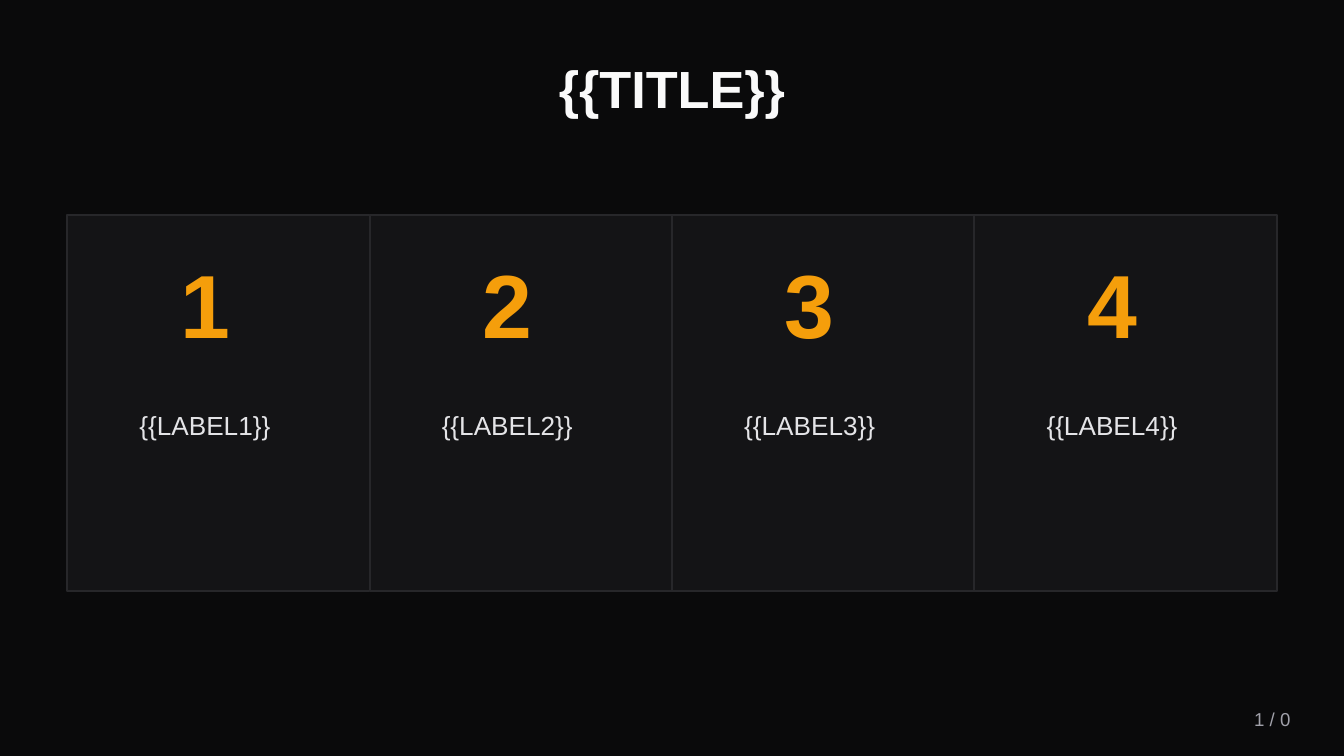
from pptx import Presentation
from pptx import util as u
from pptx.dml.color import RGBColor
from pptx.enum import shapes, text

PX = u.Inches(10) // 1600
FONT = "Arial"
BACKGROUND = RGBColor(0x0A, 0x0A, 0x0B)
CARD = RGBColor(0x14, 0x14, 0x16)
BORDER = RGBColor(0x27, 0x27, 0x2A)
WHITE = RGBColor(0xFA, 0xFA, 0xFA)
AMBER = RGBColor(0xF5, 0x9E, 0x0B)
LIGHT = RGBColor(0xE4, 0xE4, 0xE7)
GREY = RGBColor(0xA1, 0xA1, 0xAA)

MARGIN = 80
CARD_TOP, CARD_WIDTH, CARD_HEIGHT = 256, 360, 448
CARD_TEXT_WIDTH = 328
CARD_COUNT = 4


def px(*lengths):
    return [length * PX for length in lengths]


def write(shape, words, size, color, bold=False,
          align=text.PP_ALIGN.CENTER, anchor=text.MSO_ANCHOR.MIDDLE):
    """Fill a shape with one formatted paragraph."""
    frame = shape.text_frame
    frame.word_wrap = True
    frame.auto_size = text.MSO_AUTO_SIZE.NONE
    frame.vertical_anchor = anchor
    paragraph = frame.paragraphs[0]
    paragraph.alignment = align
    run = paragraph.add_run()
    run.text = words
    run.font.name = FONT
    run.font.size = u.Pt(size)
    run.font.bold = bold
    run.font.color.rgb = color


def add_text(slide, box, words, **style):
    write(slide.shapes.add_textbox(*px(*box)), words, **style)


def add_title(slide, box, words):
    title = slide.shapes.title
    title.left, title.top, title.width, title.height = px(*box)
    write(title, words, size=28, color=WHITE, bold=True)


def add_card(slide, left, number):
    card = slide.shapes.add_shape(
        shapes.MSO_SHAPE.RECTANGLE,
        *px(left, CARD_TOP, CARD_WIDTH, CARD_HEIGHT))
    card.shadow.inherit = False
    card.fill.solid()
    card.fill.fore_color.rgb = CARD
    card.line.color.rgb = BORDER
    card.line.width = u.Pt(1)
    add_text(slide, (left, 240, CARD_TEXT_WIDTH, 240), str(number),
             size=48, color=AMBER, bold=True)
    add_text(slide, (left, 480, CARD_TEXT_WIDTH, 160),
             f"{{{{LABEL{number}}}}}", size=14, color=LIGHT,
             anchor=text.MSO_ANCHOR.TOP)


def main():
    presentation = Presentation()
    presentation.slide_width, presentation.slide_height = px(1600, 900)
    slide = presentation.slides.add_slide(presentation.slide_layouts[5])
    slide.background.fill.solid()
    slide.background.fill.fore_color.rgb = BACKGROUND

    add_title(slide, (MARGIN, 48, 1440, 112), "{{TITLE}}")
    for index in range(CARD_COUNT):
        add_card(slide, MARGIN + index * CARD_WIDTH, index + 1)
    add_text(slide, (1360, 832, 192, 48), "1 / 0", size=10, color=GREY,
             align=text.PP_ALIGN.RIGHT)
    presentation.save("out.pptx")


if __name__ == "__main__":
    main()
